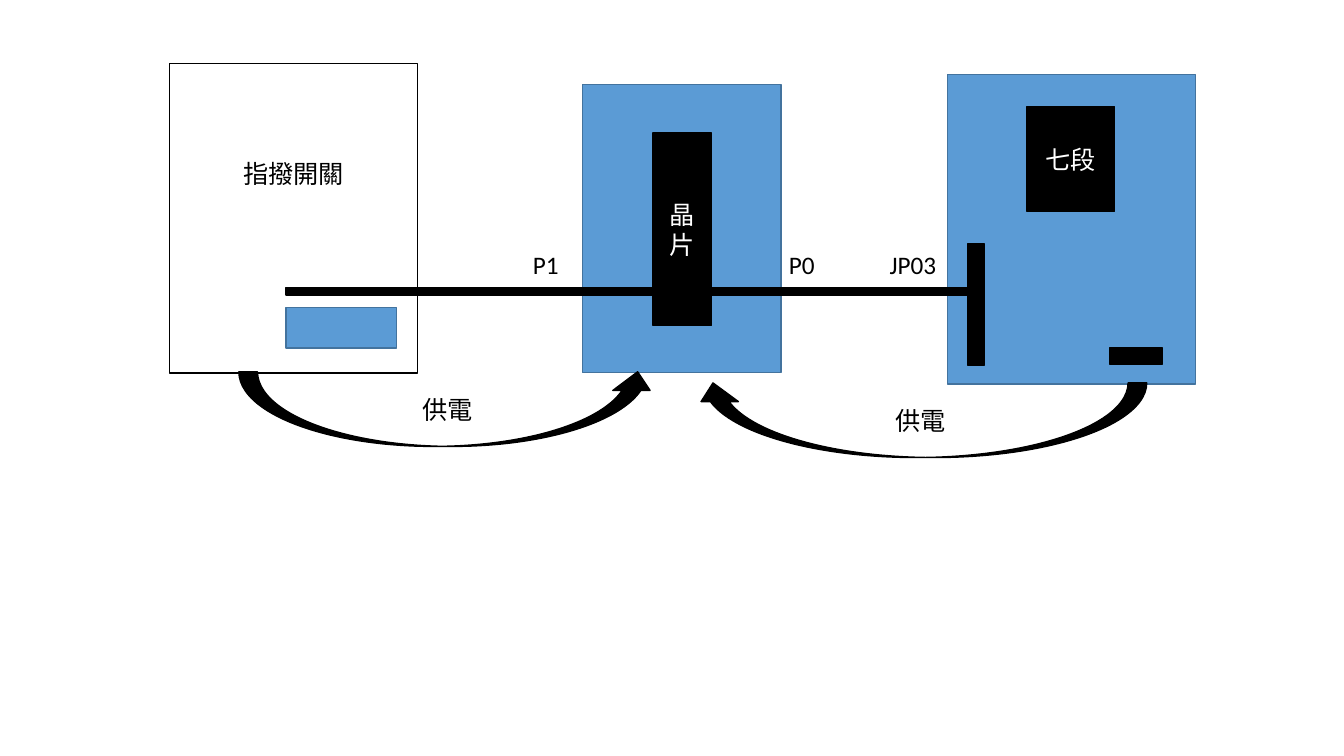
from dataclasses import dataclass

from pptx import Presentation
from pptx import util as u
from pptx.dml.color import RGBColor
from pptx.enum import shapes, text

BLACK, WHITE = "000000", "FFFFFF"
BLUE, DARK_BLUE = "5B9BD5", "43739E"
RECTANGLE = shapes.MSO_SHAPE.RECTANGLE
CURVED_ARROW = shapes.MSO_SHAPE.CURVED_UP_ARROW


@dataclass(frozen=True)
class Part:
    left: float
    top: float
    width: float
    height: float
    fill: str | None = BLACK
    line: str = BLACK
    caption: str = ""
    caption_color: str = WHITE
    bottom_inset: float = 0.13
    kind: shapes.MSO_SHAPE = RECTANGLE
    flipped: bool = False


@dataclass(frozen=True)
class Label:
    left: float
    top: float
    width: float
    caption: str


def color(value: str) -> RGBColor:
    return RGBColor.from_string(value)


def write_text(frame, words: str, *, font_color: str = BLACK, size: int = 18,
               font: str = "Calibri", align=text.PP_ALIGN.LEFT,
               anchor=text.MSO_ANCHOR.TOP, wrap: bool = True) -> None:
    frame.word_wrap = wrap
    frame.vertical_anchor = anchor
    paragraph = frame.paragraphs[0]
    paragraph.alignment = align
    run = paragraph.add_run()
    run.text = words
    run.font.name = font
    run.font.size = u.Pt(size)
    run.font.color.rgb = color(font_color)


def draw_part(slide, part: Part) -> None:
    box = map(u.Cm, (part.left, part.top, part.width, part.height))
    shape = slide.shapes.add_shape(part.kind, *box)
    shape.shadow.inherit = False
    if part.fill:
        shape.fill.solid()
        shape.fill.fore_color.rgb = color(part.fill)
    else:
        shape.fill.background()
    shape.line.color.rgb = color(part.line)
    shape.line.width = u.Pt(1)
    if part.flipped:
        shape.element.spPr.get_or_add_xfrm().set("flipH", "1")
    if part.caption:
        shape.text_frame.margin_bottom = u.Cm(part.bottom_inset)
        write_text(shape.text_frame, part.caption, font_color=part.caption_color,
                   align=text.PP_ALIGN.CENTER, anchor=text.MSO_ANCHOR.MIDDLE)


def draw_label(slide, label: Label) -> None:
    box = map(u.Cm, (label.left, label.top, label.width, 1.02))
    frame = slide.shapes.add_textbox(*box).text_frame
    write_text(frame, label.caption, wrap=False)
    frame.auto_size = text.MSO_AUTO_SIZE.SHAPE_TO_FIT_TEXT


PARTS = [
    Part(14.68, 2.13, 5, 7.26, BLUE, DARK_BLUE),
    Part(23.88, 1.88, 6.25, 7.8, BLUE, DARK_BLUE),
    Part(4.27, 1.6, 6.25, 7.8, None, caption="指撥開關",
         caption_color=BLACK, bottom_inset=2.36),
    Part(16.46, 3.35, 1.47, 4.85, caption="晶片"),
    Part(16.99, 7.24, 7.59, 0.2),
    Part(24.38, 6.15, 0.43, 3.05),
    Part(27.97, 8.76, 1.32, 0.43),
    Part(25.88, 2.69, 2.21, 2.64, caption="七段"),
    Part(7.21, 7.24, 9.58, 0.2),
    Part(7.21, 7.75, 2.79, 1.02, BLUE, DARK_BLUE),
    Part(6.02, 9.37, 10.52, 1.88, caption="供電", caption_color=BLACK,
         kind=CURVED_ARROW),
    Part(17.5, 9.65, 11.4, 1.88, caption="供電", caption_color=BLACK,
         kind=CURVED_ARROW, flipped=True),
]
LABELS = [
    Label(22.17, 6.17, 1.7, "JP03"),
    Label(19.63, 6.17, 1.17, "P0"),
    Label(13.18, 6.15, 1.17, "P1"),
]

presentation = Presentation()
presentation.slide_width = u.Cm(33.87)
presentation.slide_height = u.Cm(19.05)
slide = presentation.slides.add_slide(presentation.slide_layouts[6])
for part in PARTS:
    draw_part(slide, part)
for label in LABELS:
    draw_label(slide, label)
presentation.save("out.pptx")
